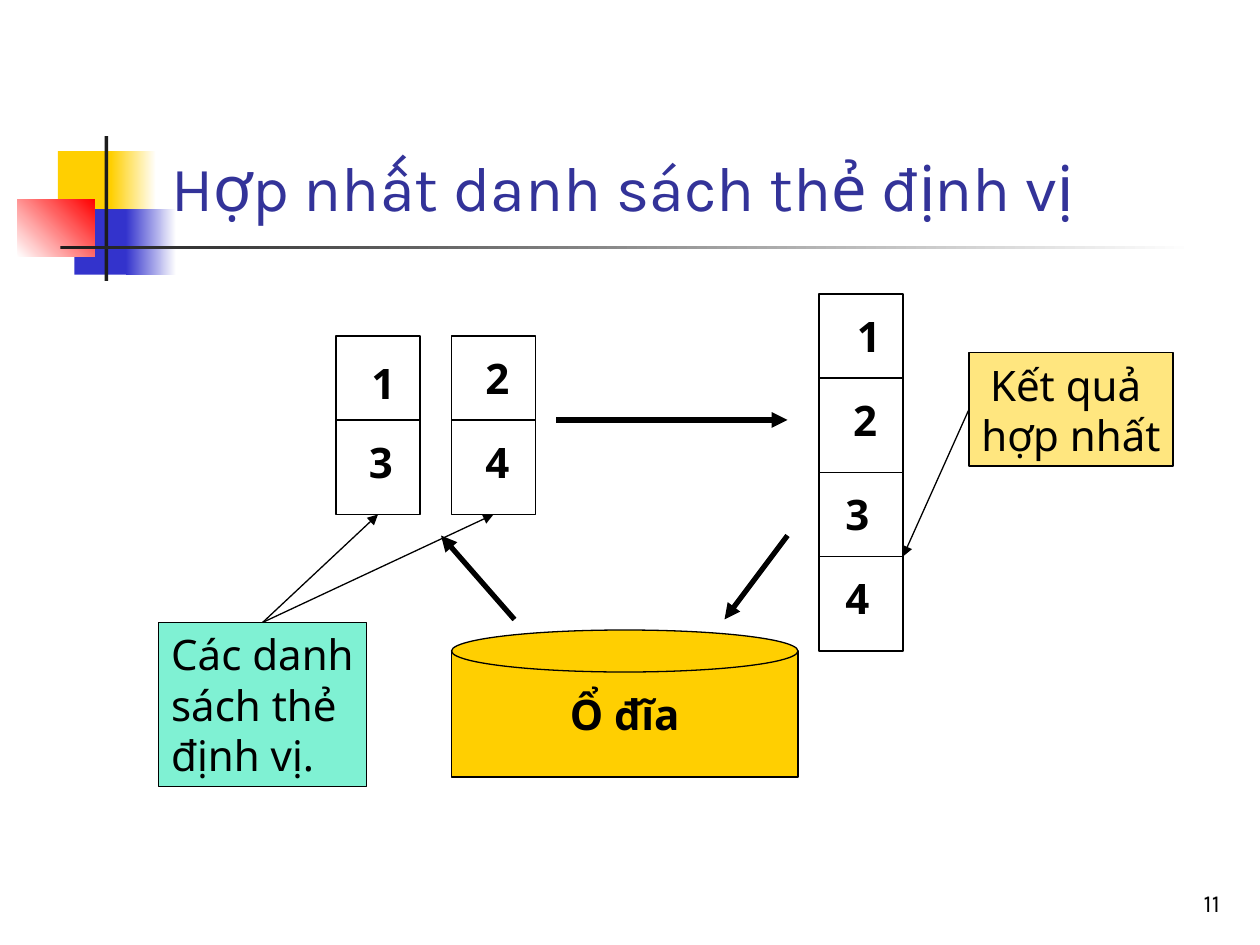
from lxml.etree import SubElement
from pptx import Presentation
from pptx.dml.color import RGBColor
from pptx.enum.shapes import MSO_CONNECTOR, MSO_SHAPE
from pptx.enum.text import MSO_ANCHOR, PP_ALIGN
from pptx.oxml.ns import qn
from pptx.util import Inches, Pt

HEX = {"gold": "FFCF01", "blue": "3333CC", "red": "FF0000", "white": "FFFFFF",
       "dark": "1C1C1C", "black": "000000", "title": "333399", "mint": "00E4A8"}
HEAD, BODY = "Karla", "Noto Sans"
UNIT = 1 / 12  # grid step of the diagram, in inches

TITLE = "Hợp nhất danh sách thẻ định vị"
PAGE = "11"
# left, top, width, height in inches; start colour, end colour, angle
DECOR = [
    (0.46, 1.2, 0.48, 0.52, "gold", None, 0),
    (0.88, 1.2, 0.36, 0.52, "gold", "white", 0),
    (0.59, 1.66, 0.46, 0.52, "blue", None, 0),
    (1.0, 1.66, 0.4, 0.52, "blue", "white", 0),
    (0.14, 1.58, 0.61, 0.46, "white", "red", 45),
    (0.83, 1.08, 0.03, 1.15, "dark", None, 0),
    (0.48, 1.95, 9, 0.03, "dark", "white", 0),
]
# column and row on the grid; then each digit with its offset in its cell
LISTS = [
    (32, 32, [("1", 0.18, 0.12), ("3", 0.16, 0.08)]),
    (43, 32, [("2", 0.17, 0.08), ("4", 0.17, 0.08)]),
    (78, 28, [("1", 0.2, 0.08), ("2", 0.17, 0.08)]),
    (78, 45, [("3", 0.11, 0.08), ("4", 0.11, 0.08)]),
]
WIDE, TALL, CUT = 8, 17, 8
FLOW = [((49, 59), (42, 51)), ((53, 40), (75, 40)), ((75, 51), (69, 59))]
DISK, LID = (43, 62, 33, 12), (43, 60, 33, 4)

deck = Presentation()
deck.slide_width, deck.slide_height = Inches(10), Inches(7.5)
slide = deck.slides.add_slide(deck.slide_layouts[5])
shapes = slide.shapes


def tint(name):
    return RGBColor.from_string(HEX[name])


def grid(*cells):
    return [cell * UNIT for cell in cells]


def write(shape, text, size=24, font=BODY, bold=False, color="black",
          align=PP_ALIGN.CENTER, anchor=MSO_ANCHOR.MIDDLE, wrap=False):
    frame = shape.text_frame
    frame.text = text
    frame.word_wrap = wrap
    frame.vertical_anchor = anchor
    for para in frame.paragraphs:
        para.alignment = align
        face = para.font
        face.size, face.name, face.bold = Pt(size), font, bold
        face.color.rgb = tint(color)


def block(box, fill, kind=MSO_SHAPE.RECTANGLE, edge=True, alpha=None):
    shape = shapes.add_shape(kind, *map(Inches, box))
    shape.shadow.inherit = False
    shape.fill.solid()
    shape.fill.fore_color.rgb = tint(fill)
    if alpha:
        color = shape.fill._xPr.find(qn("a:solidFill"))[0]
        SubElement(color, qn("a:alpha")).set("val", str(alpha * 1000))
    if edge:
        shape.line.color.rgb = tint("black")
        shape.line.width = Pt(0.75)
    else:
        shape.line.fill.background()
    return shape


def line(start, end, width=0.75, arrow=True):
    link = shapes.add_connector(MSO_CONNECTOR.STRAIGHT,
                                *map(Inches, (*start, *end)))
    link.line.color.rgb = tint("black")
    link.line.width = Pt(width)
    if arrow:
        SubElement(link.line._get_or_add_ln(), qn("a:tailEnd")).set("type", "triangle")
    SubElement(link._element.spPr, qn("a:effectLst"))
    return link


def label(box, text, **style):
    write(shapes.add_textbox(*map(Inches, box)), text, **style)


for *box, first, last, angle in DECOR:
    part = block(box, first, edge=False)
    if last:
        part.fill.gradient()
        part.fill.gradient_angle = angle
        for stop, name in zip(part.fill.gradient_stops, (first, last)):
            stop.color.rgb = tint(name)

title = shapes.title
title.left, title.top, title.width, title.height = map(
    Inches, (1.26, 0.23, 8.52, 1.6))
write(title, TITLE, size=36, font=HEAD, color="title",
      align=PP_ALIGN.LEFT, anchor=MSO_ANCHOR.BOTTOM, wrap=True)
label((7.7, 6.83, 2.08, 0.5), PAGE, size=14, font=HEAD,
      align=PP_ALIGN.RIGHT, anchor=MSO_ANCHOR.BOTTOM, wrap=True)

cards = []
for col, row, digits in LISTS:
    cards.append(block(grid(col, row, WIDE, TALL), "white"))
    line(grid(col, row + CUT), grid(col + WIDE, row + CUT), arrow=False)
    for i, (digit, dx, dy) in enumerate(digits):
        left, top = grid(col, row + i * CUT)
        label((left + dx, top + dy, 0.39, 0.5), digit, bold=True)

write(block(grid(*DISK), "gold"), "Ổ đĩa", bold=True)
block(grid(*LID), "gold", MSO_SHAPE.OVAL)
for start, end in FLOW:
    line(grid(*start), grid(*end), width=3)

source = block((1.26, 4.94, 1.65, 1.3), "mint", alpha=50)
write(source, "Các danh sách thẻ định vị.", align=PP_ALIGN.LEFT, wrap=True)
for card in cards[:2]:
    link = line((2.09, 4.94), (3, 4.08))
    link.begin_connect(source, 0)
    link.end_connect(card, 2)

result = block((7.69, 2.8, 1.62, 0.9), "gold", alpha=50)
write(result, "Kết quả \nhợp nhất")
line((7.69, 3.25), grid(86, 53)).begin_connect(result, 1)

deck.save("out.pptx")
